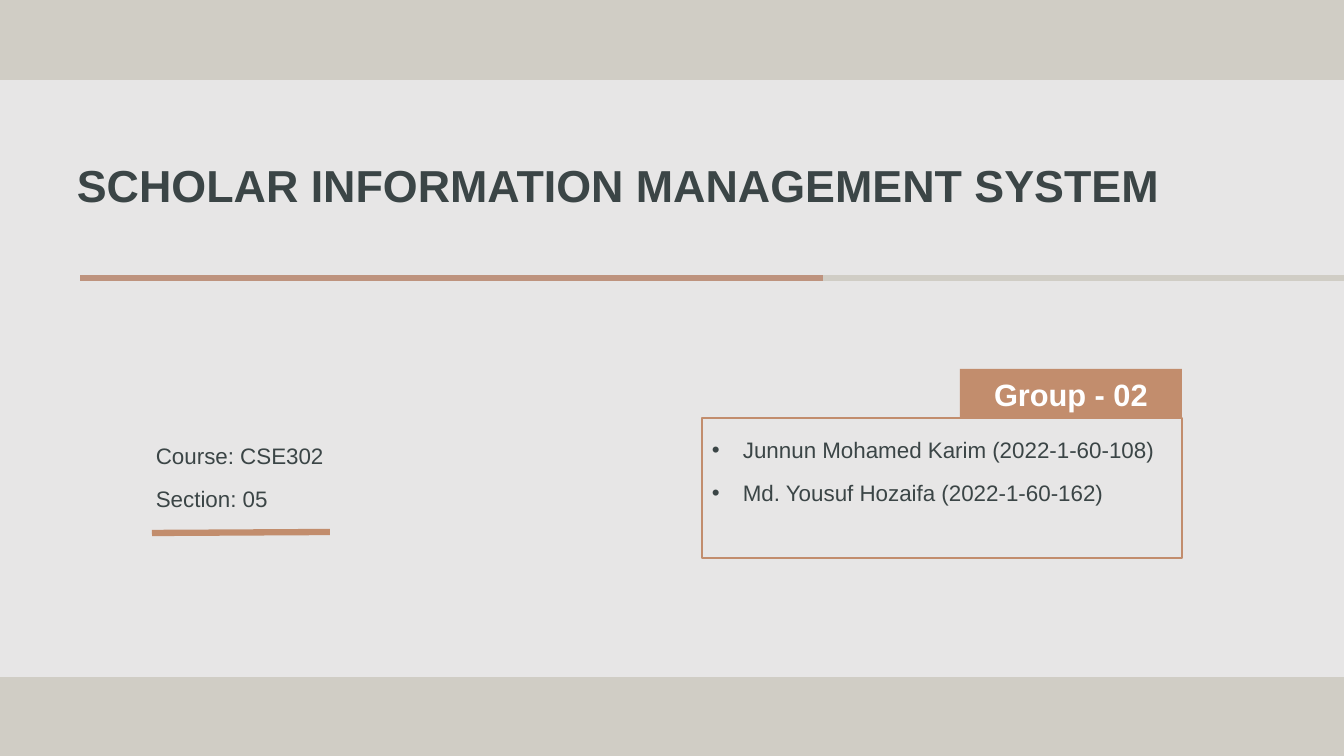
import pptx
import pptx.util
from lxml import etree
from pptx.dml.color import RGBColor
from pptx.enum.shapes import MSO_CONNECTOR, MSO_SHAPE
from pptx.enum.text import MSO_ANCHOR, PP_ALIGN
from pptx.oxml.ns import qn

PX = 914400 / 100.8
SAND = RGBColor(0xD0, 0xCD, 0xC5)
PALE = RGBColor(0xE7, 0xE6, 0xE6)
CLAY = RGBColor(0xBE, 0x93, 0x7E)
COPPER = RGBColor(0xC2, 0x8D, 0x6D)
SLATE = RGBColor(0x3B, 0x45, 0x46)
WHITE = RGBColor(0xFF, 0xFF, 0xFF)
BULLET_INDENT = 31


def px(*lengths):
    return [round(n * PX) for n in lengths]


def add_rect(s, box, fill=None, line=None):
    sp = s.shapes.add_shape(MSO_SHAPE.RECTANGLE, *px(*box))
    sp.shadow.inherit = False
    if fill is None:
        sp.fill.background()
    else:
        sp.fill.solid()
        sp.fill.fore_color.rgb = fill
    if line is None:
        sp.line.fill.background()
    else:
        sp.line.color.rgb = line
        sp.line.width = pptx.util.Pt(1)
    return sp


def add_rule(s, ends, color):
    sp = s.shapes.add_connector(MSO_CONNECTOR.STRAIGHT, *px(*ends))
    sp.line.color.rgb = color
    sp.line.width = pptx.util.Pt(4.5)
    etree.SubElement(sp._element.spPr, qn("a:effectLst"))


def add_bullet(p):
    pPr = p._p.get_or_add_pPr()
    indent, = px(BULLET_INDENT)
    pPr.set("marL", str(indent))
    pPr.set("indent", str(-indent))
    etree.SubElement(pPr, qn("a:buFont")).set("typeface", "Arial")
    etree.SubElement(pPr, qn("a:buChar")).set("char", "•")


def set_text(sp, lines, size, color=SLATE, bold=False, align=PP_ALIGN.LEFT,
             anchor=MSO_ANCHOR.TOP, spacing=1.0, before=0, bullets=False):
    tf = sp.text_frame
    tf.word_wrap = True
    tf.vertical_anchor = anchor
    tf.text = "\n".join(lines)
    for p in tf.paragraphs:
        p.alignment = align
        p.line_spacing = spacing
        p.space_before = pptx.util.Pt(before)
        if bullets:
            add_bullet(p)
        for r in p.runs:
            r.font.name = "Arial"
            r.font.size = pptx.util.Pt(size)
            r.font.bold = bold
            r.font.color.rgb = color


def main():
    prs = pptx.Presentation()
    prs.slide_width, prs.slide_height = px(1344, 756)
    s = prs.slides.add_slide(prs.slide_layouts[6])
    s.background.fill.solid()
    s.background.fill.fore_color.rgb = SAND

    add_rect(s, (0, 80, 1344, 597), fill=PALE)
    add_rule(s, (1344, 278, 822, 278), SAND)
    add_rule(s, (823, 278, 80, 278), CLAY)

    title = s.shapes.add_textbox(*px(67, 122, 1159, 135))
    set_text(title, ["SCHOLAR INFORMATION MANAGEMENT SYSTEM"], 32, bold=True,
             anchor=MSO_ANCHOR.MIDDLE, spacing=0.8)

    group = add_rect(s, (960, 369, 222, 50), fill=COPPER)
    set_text(group, ["Group - 02"], 22, WHITE, bold=True,
             align=PP_ALIGN.CENTER, anchor=MSO_ANCHOR.MIDDLE)

    members = add_rect(s, (702, 418, 480, 140), line=COPPER)
    set_text(members, ["Junnun Mohamed Karim (2022-1-60-108)",
                       "Md. Yousuf Hozaifa (2022-1-60-162)"],
             16, spacing=1.5, before=1.7, bullets=True)

    course = s.shapes.add_textbox(*px(146, 424, 232, 116))
    set_text(course, ["Course: CSE302", "Section: 05"], 16,
             spacing=1.5, before=1.7)
    add_rule(s, (152, 533, 330, 532), COPPER)

    prs.save("out.pptx")


if __name__ == "__main__":
    main()
